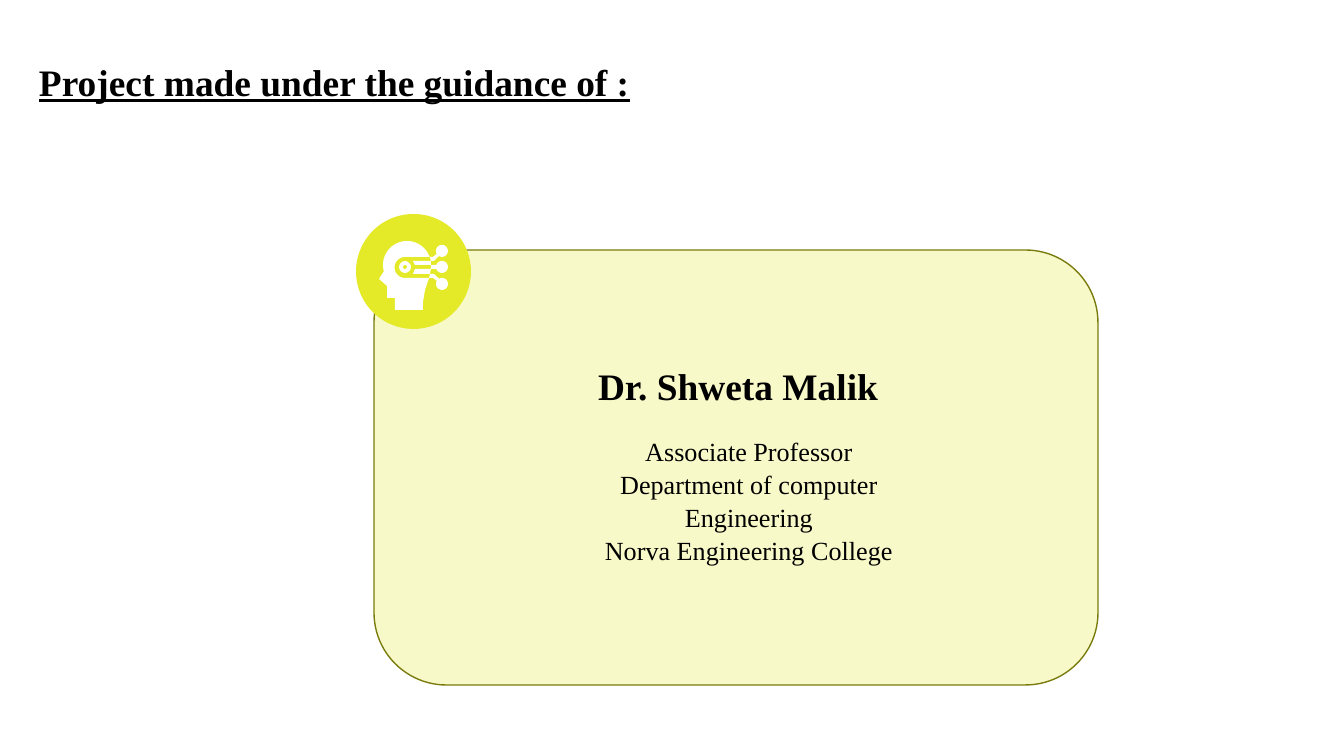
from dataclasses import dataclass
from math import cos, radians, sin

from lxml import etree
from pptx import Presentation
from pptx import util as u
from pptx.dml.color import RGBColor
from pptx.enum import shapes, text
from pptx.oxml.ns import qn

PX = 914400 / 134.4  # EMU in one px
COLORS = {"accent": "E4EA27", "edge": "797C0C", "ink": "000000", "icon": "FFFFFF"}
FONT = "Times New Roman"
INSET = 13
Point = tuple[float, float]


@dataclass
class Box:
    x: int
    y: int
    w: int
    h: int

    def emu(self) -> list[int]:
        return [emu(v) for v in (self.x, self.y, self.w, self.h)]


@dataclass
class Label:
    box: Box
    lines: list[str]
    font: dict
    paragraph: dict
    frame: dict
    margin: int = 0


def emu(px: float) -> int:
    return round(px * PX)


def rgb(name: str) -> RGBColor:
    return RGBColor.from_string(COLORS[name])


def set_all(obj, values: dict) -> None:
    for name, value in values.items():
        setattr(obj, name, value)


def paint(sp, fill: str, alpha: int = 100, line: str = "") -> None:
    sp.shadow.inherit = False
    sp.fill.solid()
    sp.fill.fore_color.rgb = rgb(fill)
    if alpha < 100:
        color = sp._element.spPr.find(qn("a:solidFill"))[0]
        etree.SubElement(color, qn("a:alpha"), val=str(alpha * 1000))
    if line:
        sp.line.color.rgb = rgb(line)
        sp.line.width = u.Pt(0.75)
    else:
        sp.line.fill.background()


def write(sp, label: Label) -> None:
    sp.left, sp.top, sp.width, sp.height = label.box.emu()
    tf = sp.text_frame
    sides = ("left", "top", "right", "bottom")
    set_all(tf, {f"margin_{side}": emu(INSET) for side in sides})
    set_all(tf, {"word_wrap": True, "auto_size": text.MSO_AUTO_SIZE.NONE} | label.frame)
    for i, line in enumerate(label.lines):
        p = tf.add_paragraph() if i else tf.paragraphs[0]
        set_all(p, label.paragraph)
        if label.margin:
            set_all_xml = p._p.get_or_add_pPr()
            set_all_xml.set("marL", str(emu(label.margin)))
            set_all_xml.set("indent", "0")
        r = p.add_run()
        r.text = line
        set_all(r.font, {"name": FONT} | label.font)
        r.font.color.rgb = rgb("ink")


def arc(cx: float, cy: float, radius: float, start: int, end: int) -> list[Point]:
    """Points along a circle; angles in degrees, clockwise from the right."""
    steps = 24
    angles = [radians(start + (end - start) * i / steps) for i in range(steps + 1)]
    return [(cx + radius * cos(a), cy + radius * sin(a)) for a in angles]


def polygon(s, points: list[Point]) -> None:
    first, *rest = [(emu(x), emu(y)) for x, y in points]
    builder = s.shapes.build_freeform(*first, scale=1.0)
    builder.add_line_segments(rest, close=True)
    paint(builder.convert_to_shape(), "icon")


BADGE = Box(356, 214, 115, 115)
CARD = Box(374, 250, 724, 435)
EYE = Box(399, 261, 12, 12)

HEAD = (
    arc(407, 265, 24, 165, 340)
    + [(431, 257)]
    + arc(405, 267.5, 10.5, 270, 90)
    + [(429, 278), (425, 290), (423, 302), (423, 310), (395, 310)]
    + [(395, 298), (387, 298), (387, 286), (379, 279)]
)
BARS = [
    [(413, 261), (415, 265), (431, 265), (431, 261)],
    [(415, 269), (413, 274), (430, 274), (431, 269)],
]
NODES = [
    arc(442, 251, 6, 150, 480) + [(434, 261), (431, 261), (430, 257), (433, 257)],
    arc(442, 267, 6, 200, 520) + [(431, 269), (431, 265)],
    arc(442, 284, 6, 240, 570) + [(433, 278), (429, 278), (430, 274), (434, 274)],
]

HEADING = {"size": u.Pt(20), "bold": True}
LEFT = {"alignment": text.PP_ALIGN.LEFT}
MIDDLE = {"vertical_anchor": text.MSO_ANCHOR.MIDDLE}
TITLE = Label(Box(26, 58, 892, 47), ["Project made under the guidance of :"],
              HEADING | {"underline": True}, LEFT, MIDDLE)
GUIDE = Label(Box(585, 362, 310, 48), ["Dr. Shweta Malik"], HEADING, LEFT, MIDDLE)
POSITION = Label(
    Box(495, 421, 492, 167),
    ["Associate Professor", "Department of computer", "Engineering",
     "Norva Engineering College"],
    {"size": u.Pt(14)},
    {"alignment": text.PP_ALIGN.CENTER, "line_spacing": 1.05},
    {"vertical_anchor": text.MSO_ANCHOR.TOP},
    margin=16,
)


def main() -> None:
    prs = Presentation()
    prs.slide_width, prs.slide_height = emu(1344), emu(756)
    s = prs.slides.add_slide(prs.slide_layouts[5])
    write(s.shapes.title, TITLE)

    card = s.shapes.add_shape(shapes.MSO_SHAPE.ROUNDED_RECTANGLE, *CARD.emu())
    paint(card, "accent", alpha=25, line="edge")
    badge = s.shapes.add_shape(shapes.MSO_SHAPE.OVAL, *BADGE.emu())
    paint(badge, "accent")

    for points in [HEAD, *BARS, *NODES]:
        polygon(s, points)
    eye = s.shapes.add_shape(shapes.MSO_SHAPE.DONUT, *EYE.emu())
    eye.adjustments[0] = 0.33
    paint(eye, "icon")

    for label in (GUIDE, POSITION):
        write(s.shapes.add_textbox(*label.box.emu()), label)
    prs.save("out.pptx")


if __name__ == "__main__":
    main()
